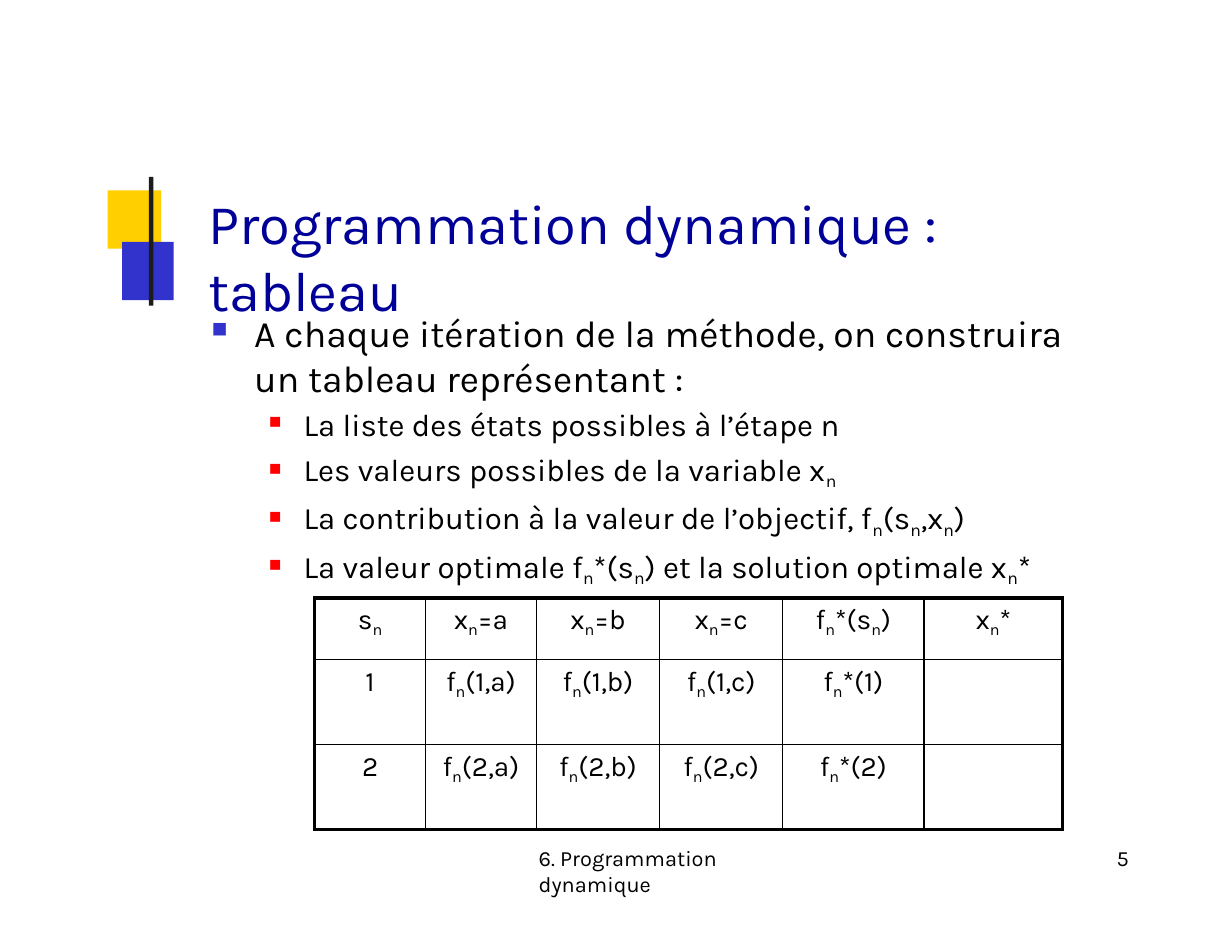
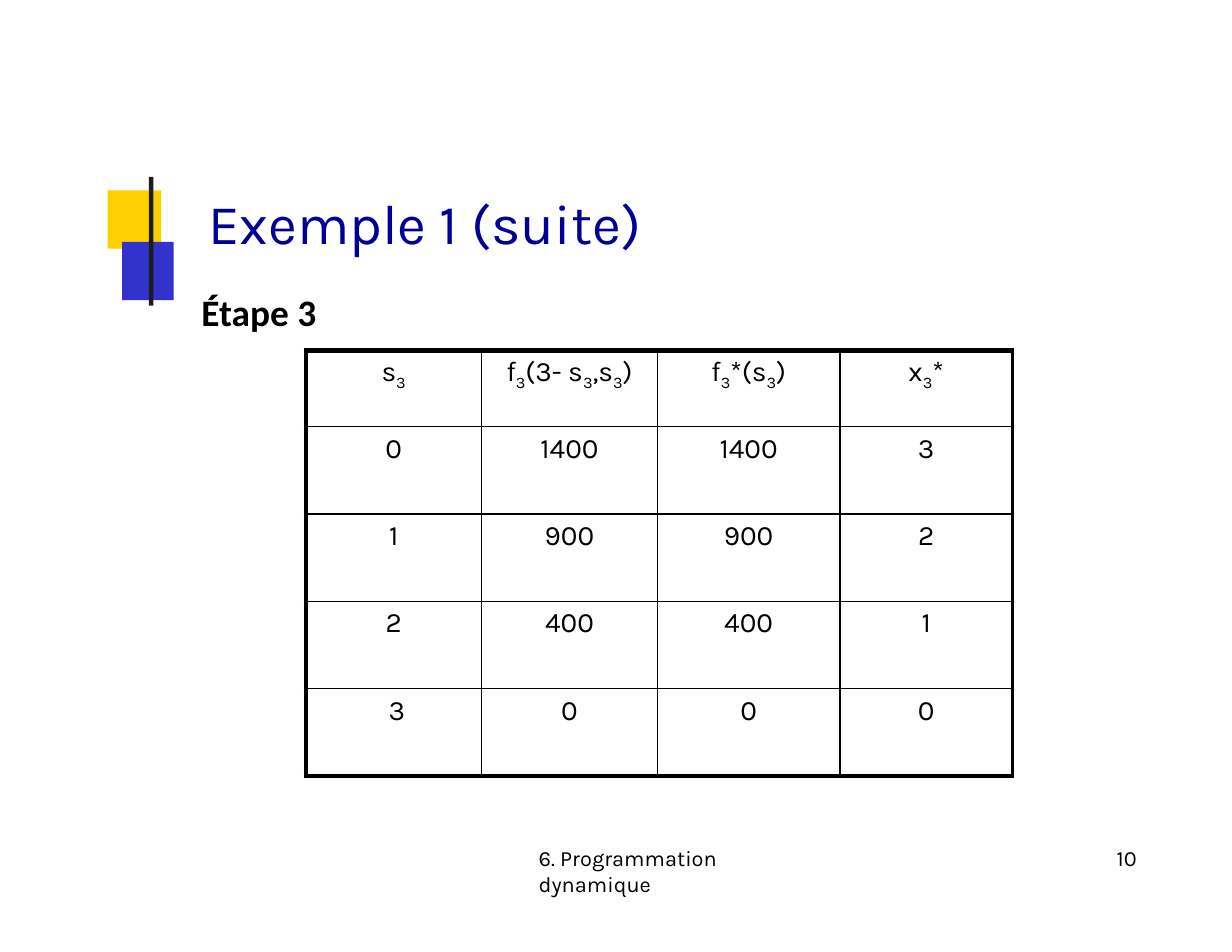
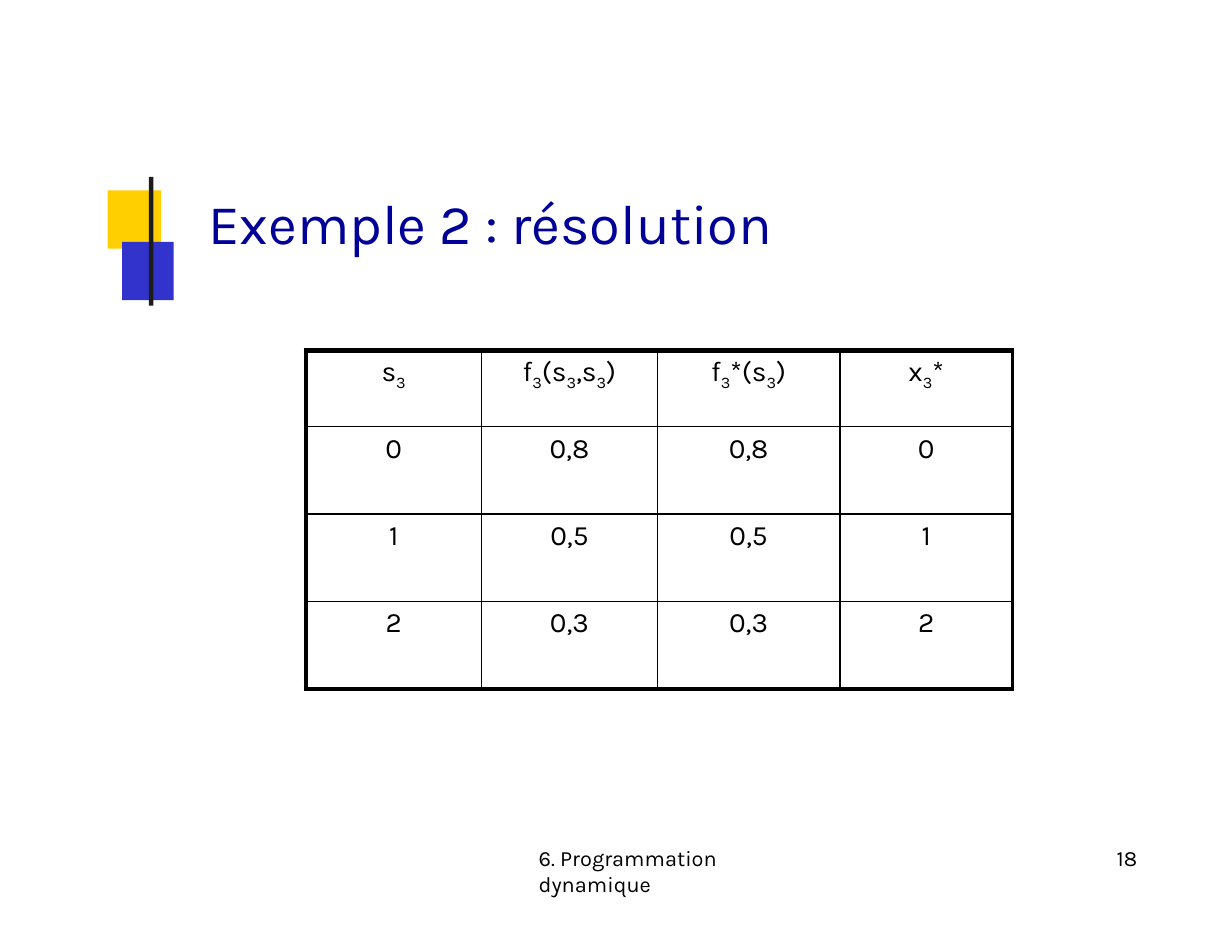
from lxml import etree
from pptx import Presentation
from pptx.dml.color import RGBColor
from pptx.enum.shapes import MSO_SHAPE as SHAPE
from pptx.enum.text import MSO_ANCHOR as ANCHOR, MSO_AUTO_SIZE as AUTO_SIZE, PP_ALIGN as ALIGN
from pptx.oxml.ns import qn
from pptx.util import Inches, Pt

BLACK = RGBColor(0, 0, 0)
NAVY = RGBColor(0x00, 0x00, 0x99)
BLUE = RGBColor(0x32, 0x32, 0xCC)
YELLOW = RGBColor(0xFF, 0xCF, 0x00)
CHARCOAL = RGBColor(0x1C, 0x1C, 0x1C)
RED = RGBColor(0xFF, 0x00, 0x00)

FONT = "Karla"
FOOTER = "6. Programmation dynamique"
TITLE_BOX = (1.85, 1.67, 8.34, 0.63)
FOOTER_BOX = (4.8, 7.53, 2.57, 0.26)
NUMBER_BOX = (9.93, 7.53, 0.31, 0.26)
MOTIF_BOX = (0.96, 1.58, 0.59, 1.15)

# Bullet level: size, subscript size, left margin, hanging indent, bullet colour, bullet percent
LEVELS = [
    (24, 24, 0.4, -0.38, BLUE, 58),
    (20, 19.5, 0.84, -0.31, RED, 55),
]


def add_runs(p, text, size, color=BLACK, font=FONT, bold=False, sub_size=None, drop=-23):
    """Add text to p run by run; parts in braces become subscripts."""
    for i, part in enumerate(text.replace("}", "{").split("{")):
        if not part:
            continue
        r = p.add_run()
        r.text = part
        is_sub = i % 2 == 1
        r.font.size = Pt(sub_size if is_sub and sub_size else size)
        r.font.name = font
        r.font.bold = bold
        r.font.color.rgb = color
        if is_sub:
            r.font._element.set("baseline", str(drop * 1000))


def set_frame(tf, top=0.01):
    """Make a frame wrap and grow downwards, with only a top inset."""
    tf.word_wrap = True
    tf.auto_size = AUTO_SIZE.SHAPE_TO_FIT_TEXT
    tf.vertical_anchor = ANCHOR.TOP
    tf.margin_left = tf.margin_right = tf.margin_bottom = 0
    tf.margin_top = Inches(top)


def set_indent(p, left, first=0):
    pPr = p._p.get_or_add_pPr()
    pPr.set("marL", str(Inches(left)))
    pPr.set("indent", str(Inches(first)))
    return pPr


def add_box(s, box):
    return s.shapes.add_textbox(*map(Inches, box)).text_frame


def add_motif(s, box):
    """Two overlapping squares crossed by a vertical bar."""
    left, top, width, height = box
    parts = [
        (0, 0.12, 0.48, 0.52, YELLOW),
        (width - 0.46, 0.58, 0.46, 0.52, BLUE),
        (0.37, 0, 0.04, height, CHARCOAL),
    ]
    for x, y, w, h, color in parts:
        sp = s.shapes.add_shape(SHAPE.RECTANGLE, *map(Inches, (left + x, top + y, w, h)))
        sp.shadow.inherit = False
        sp.fill.solid()
        sp.fill.fore_color.rgb = color
        sp.line.fill.background()


def add_title(s, box, text):
    sp = s.shapes.title
    sp.left, sp.top, sp.width, sp.height = map(Inches, box)
    set_frame(sp.text_frame)
    p = sp.text_frame.paragraphs[0]
    p.alignment = ALIGN.LEFT
    p.space_before = Pt(1)
    set_indent(p, 0.01)
    add_runs(p, text, 36, NAVY)


def add_small_text(s, box, text, indent):
    tf = add_box(s, box)
    set_frame(tf)
    p = tf.paragraphs[0]
    p.space_before = Pt(1.1)
    set_indent(p, indent)
    add_runs(p, text, 14)


def add_bullets(s, box, items):
    """Add (level, space before, text) items as a bulleted list."""
    tf = add_box(s, box)
    set_frame(tf, 0.03)
    for i, (level, before, text) in enumerate(items):
        size, sub_size, left, first, color, percent = LEVELS[level]
        p = tf.add_paragraph() if i else tf.paragraphs[0]
        p.level = level
        p.space_before = Pt(before)
        if level == 0:
            p.line_spacing = Pt(28.7)
        pPr = set_indent(p, left, first)
        bu_color = etree.SubElement(pPr, qn("a:buClr"))
        etree.SubElement(bu_color, qn("a:srgbClr"), val=str(color))
        etree.SubElement(pPr, qn("a:buSzPct"), val=str(percent * 1000))
        etree.SubElement(pPr, qn("a:buChar"), char="■")
        add_runs(p, text, size, sub_size=sub_size, drop=-21)


def set_borders(cell, **widths):
    tcPr = cell._tc.get_or_add_tcPr()
    for side in "LRTB":
        ln = etree.SubElement(tcPr, qn(f"a:ln{side}"), w=str(Pt(widths[side])))
        fill = etree.SubElement(ln, qn("a:solidFill"))
        etree.SubElement(fill, qn("a:srgbClr"), val=str(BLACK))


def add_grid(s, left, top, cols, heights, rows, edge):
    """Add a ruled table; edge is the width of its left and bottom frame."""
    n_rows, n_cols = len(rows), len(cols)
    frame = s.shapes.add_table(n_rows, n_cols, *map(Inches, (left, top, sum(cols), sum(heights))))
    tbl = frame.table
    tbl.first_row = tbl.horz_banding = False
    for col, width in zip(tbl.columns, cols):
        col.width = Inches(width)
    for i, (row, height) in enumerate(zip(rows, heights)):
        tbl.rows[i].height = Inches(height)
        for j, text in enumerate(row):
            cell = tbl.cell(i, j)
            cell.margin_left = cell.margin_right = cell.margin_bottom = 0
            cell.margin_top = Inches(0.05)
            set_borders(
                cell,
                L=edge if j == 0 else 1,
                R=2.25 if j == n_cols - 1 else 1,
                T=3 if i == 0 else 1,
                B=edge if i == n_rows - 1 else 1,
            )
            cell.fill.background()
            p = cell.text_frame.paragraphs[0]
            p.alignment = ALIGN.CENTER
            p.space_before = Pt(3.5)
            add_runs(p, text, 18)


def add_stage_table(s, rows):
    """Table of results for stage 3, one row per state."""
    heights = [0.68] + [0.78] * (len(rows) - 1)
    add_grid(s, 2.73, 3.13, [1.57, 1.57, 1.63, 1.54], heights, rows, edge=3)


def add_slide(prs, title, number):
    s = prs.slides.add_slide(prs.slide_layouts[5])
    add_motif(s, MOTIF_BOX)
    add_title(s, TITLE_BOX, title)
    add_small_text(s, FOOTER_BOX, FOOTER, 0.01)
    add_small_text(s, NUMBER_BOX, str(number), 0.04)
    return s


def build_method(prs):
    s = add_slide(prs, "Programmation dynamique : tableau", 5)
    add_bullets(s, (1.87, 2.74, 7.94, 2.43), [
        (0, 2, "A chaque itération de la méthode, on construira un tableau représentant :"),
        (1, 4, "La liste des états possibles à l’étape n"),
        (1, 4.8, "Les valeurs possibles de la variable x{n}"),
        (1, 4.7, "La contribution à la valeur de l’objectif, f{n}(s{n},x{n})"),
        (1, 4.8, "La valeur optimale f{n}*(s{n}) et la solution optimale x{n}*"),
    ])
    choices = "abc"
    rows = [["s{n}", *(f"x{{n}}={c}" for c in choices), "f{n}*(s{n})", "x{n}*"]]
    for state in (1, 2):
        values = [f"f{{n}}({state},{c})" for c in choices]
        rows.append([str(state), *values, f"f{{n}}*({state})", ""])
    add_grid(s, 2.81, 5.34, [0.99, 0.99, 1.1, 1.1, 1.26, 1.24], [0.55, 0.76, 0.76], rows, edge=2.25)


def build_example_1(prs):
    s = add_slide(prs, "Exemple 1 (suite)", 10)
    add_stage_table(s, [
        ["s{3}", "f{3}(3- s{3},s{3})", "f{3}*(s{3})", "x{3}*"],
        ["0", "1400", "1400", "3"],
        ["1", "900", "900", "2"],
        ["2", "400", "400", "1"],
        [" 3", "0", "0", "0"],
    ])
    tf = add_box(s, (1.7, 2.53, 5.65, 0.5))
    tf.word_wrap = True
    tf.auto_size = AUTO_SIZE.SHAPE_TO_FIT_TEXT
    add_runs(tf.paragraphs[0], "Étape 3", 24, font="Calibri", bold=True)


def build_example_2(prs):
    s = add_slide(prs, "Exemple 2 : résolution", 18)
    add_stage_table(s, [
        ["s{3}", "f{3}(s{3},s{3})", "f{3}*(s{3})", "x{3}*"],
        ["0", "0,8", "0,8", "0"],
        ["1", "0,5", "0,5", "1"],
        ["2", "0,3", "0,3", "2"],
    ])


def main():
    prs = Presentation()
    prs.slide_width, prs.slide_height = Inches(11), Inches(8.5)
    build_method(prs)
    build_example_1(prs)
    build_example_2(prs)
    prs.save("out.pptx")


if __name__ == "__main__":
    main()
